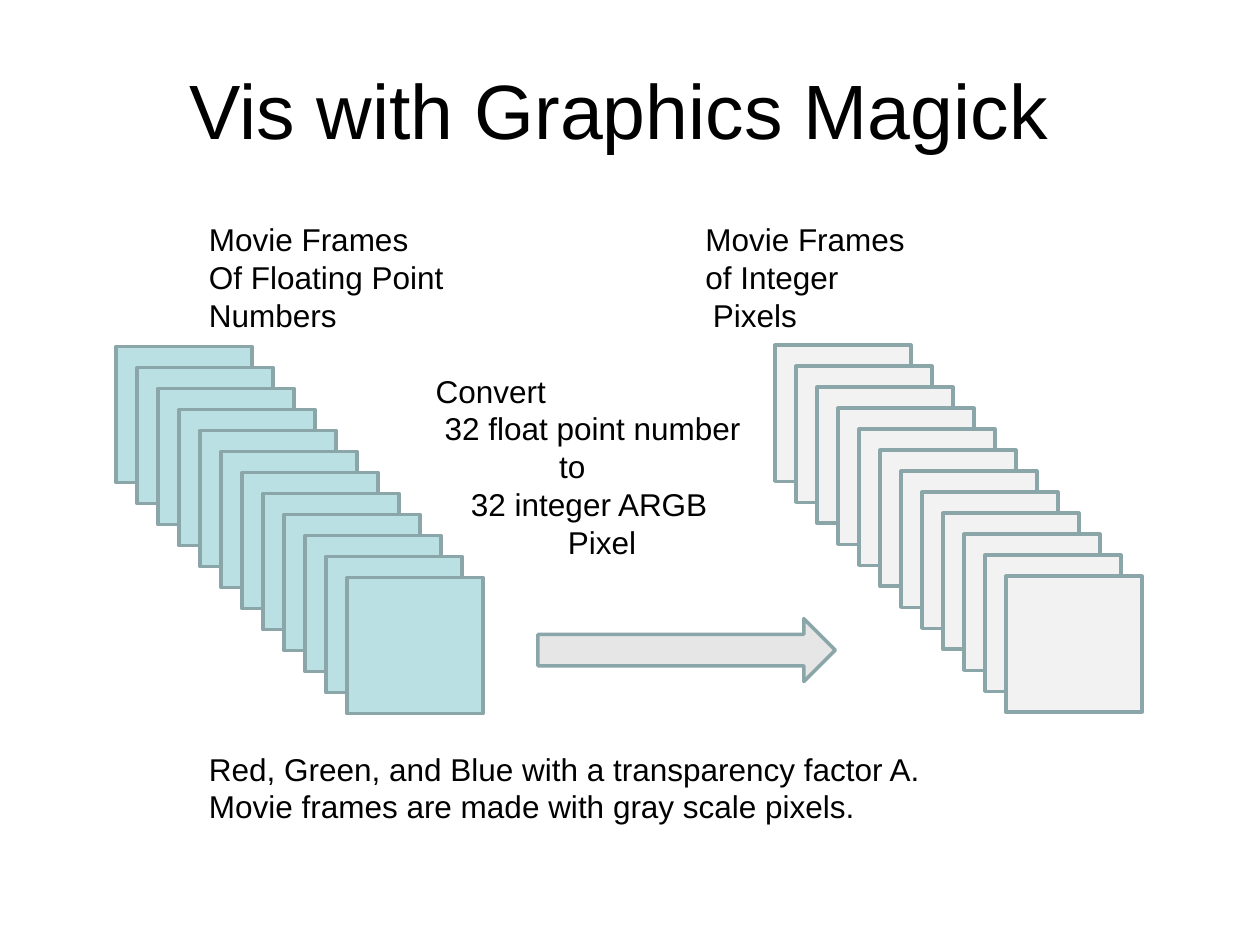
from dataclasses import dataclass

from pptx import Presentation
from pptx.dml.color import RGBColor as Rgb
from pptx.enum.shapes import MSO_SHAPE as Preset
from pptx.enum.text import MSO_ANCHOR as Anchor, PP_ALIGN as Align
from pptx.util import Emu, Inches, Pt


@dataclass(frozen=True)
class Theme:
    font: str = "Arial"
    ink: str = "000000"
    outline: str = "8AA6A8"
    float_fill: str = "BBE0E3"
    pixel_fill: str = "F2F2F2"
    arrow_fill: str = "E6E6E6"
    title_size: int = 44
    body_size: int = 18
    line_pitch: float = 21.6
    outline_width: int = 2


THEME = Theme()

# Content: each line is text, indent (inches), empty line heights before it
TITLE = "Vis with Graphics Magick "
FLOAT_CAPTION = [
    ("Movie Frames", 0, 0),
    ("Of Floating Point", 0, 0),
    ("Numbers", 0, 0),
]
CONVERSION = [
    ("Convert", 1.8, 1),
    ("32 float point number", 1.87, 0),
    ("to", 2.78, 0),
    ("32 integer ARGB", 2.08, 0),
    ("Pixel", 2.85, 0),
]
REMARKS = [
    ("Red, Green, and Blue with a transparency factor A.", 0, 5),
    ("Movie frames are made with gray scale pixels.", 0, 0),
]
PIXEL_CAPTION = [
    ("Movie Frames", 0, 0),
    ("of Integer", 0, 0),
    ("Pixels", 0.06, 0),
]
# Text boxes: left, top, width, height, lines
TEXTS = [
    (1.56, 1.7, 5.9, 4.95, FLOAT_CAPTION + CONVERSION + REMARKS),
    (5.5, 1.7, 1.96, 1, PIXEL_CAPTION),
]
# Frame stacks: left, top, fill
STACKS = [(0.92, 2.75, THEME.float_fill), (6.15, 2.74, THEME.pixel_fill)]
FRAME_COUNT, FRAME_SIDE, FRAME_STEP = 12, 1.08, 1 / 6


def write(paragraph, text, size=THEME.body_size, align=Align.LEFT,
          indent=0, lines_before=0, pitch=None):
    """Write one line of text; indent is in inches, pitch in points."""
    props = paragraph._p.get_or_add_pPr()
    props.set("marL", str(Inches(indent)))
    props.set("indent", "0")
    paragraph.alignment = align
    if pitch:
        paragraph.line_spacing = Pt(pitch)
    if lines_before:
        paragraph.space_before = Pt(lines_before * pitch)
    run = paragraph.add_run()
    run.text = text
    run.font.name = THEME.font
    run.font.size = Pt(size)
    run.font.color.rgb = Rgb.from_string(THEME.ink)


def add_outlined(slide, preset, left, top, width, height, fill):
    shape = slide.shapes.add_shape(
        preset, Inches(left), Inches(top), Inches(width), Inches(height))
    shape.shadow.inherit = False
    shape.fill.solid()
    shape.fill.fore_color.rgb = Rgb.from_string(fill)
    shape.line.color.rgb = Rgb.from_string(THEME.outline)
    shape.line.width = Pt(THEME.outline_width)


def main():
    deck = Presentation()
    deck.slide_width, deck.slide_height = Inches(10), Inches(7.5)
    slide = deck.slides.add_slide(deck.slide_layouts[5])

    # Title
    title = slide.shapes.title
    title.left, title.top = Emu(deck.slide_width // 20), Inches(0.24)
    title.width, title.height = Inches(9), Inches(1.25)
    title.text_frame.vertical_anchor = Anchor.MIDDLE
    write(title.text_frame.paragraphs[0], TITLE,
          size=THEME.title_size, align=Align.CENTER)

    # Frame stacks, each frame one step further down and right
    for left, top, fill in STACKS:
        for index in range(FRAME_COUNT):
            shift = index * FRAME_STEP
            add_outlined(slide, Preset.RECTANGLE, left + shift, top + shift,
                         FRAME_SIDE, FRAME_SIDE, fill)

    # Captions, conversion steps and remarks
    for *place, lines in TEXTS:
        frame = slide.shapes.add_textbox(*map(Inches, place)).text_frame
        frame.word_wrap = True
        for row, (text, indent, gap) in enumerate(lines):
            paragraph = frame.add_paragraph() if row else frame.paragraphs[0]
            write(paragraph, text, indent=indent, lines_before=gap,
                  pitch=THEME.line_pitch)

    # Conversion arrow
    add_outlined(slide, Preset.RIGHT_ARROW, 4.27, 4.91, 2.36, 0.5,
                 THEME.arrow_fill)

    deck.save("out.pptx")


if __name__ == "__main__":
    main()
